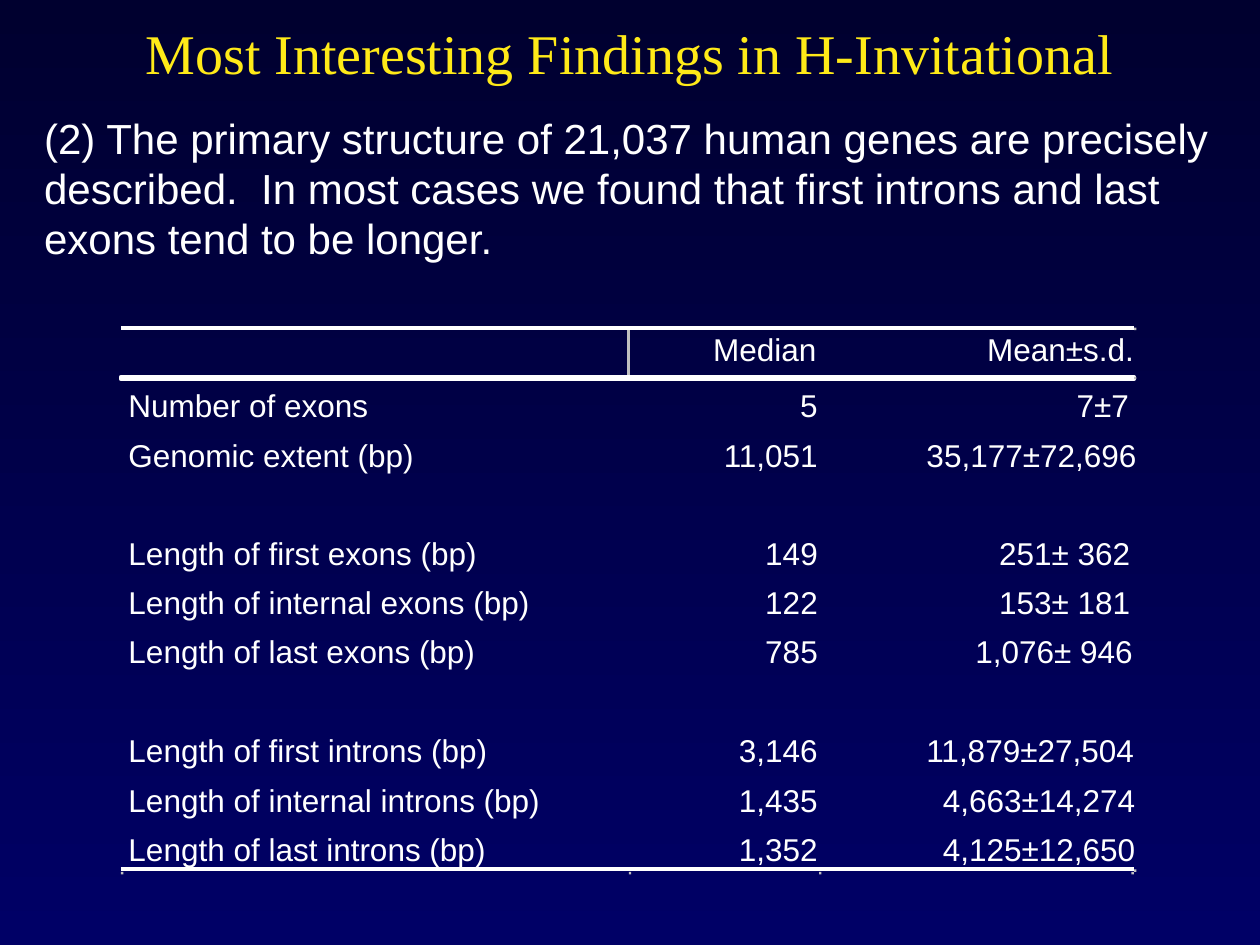
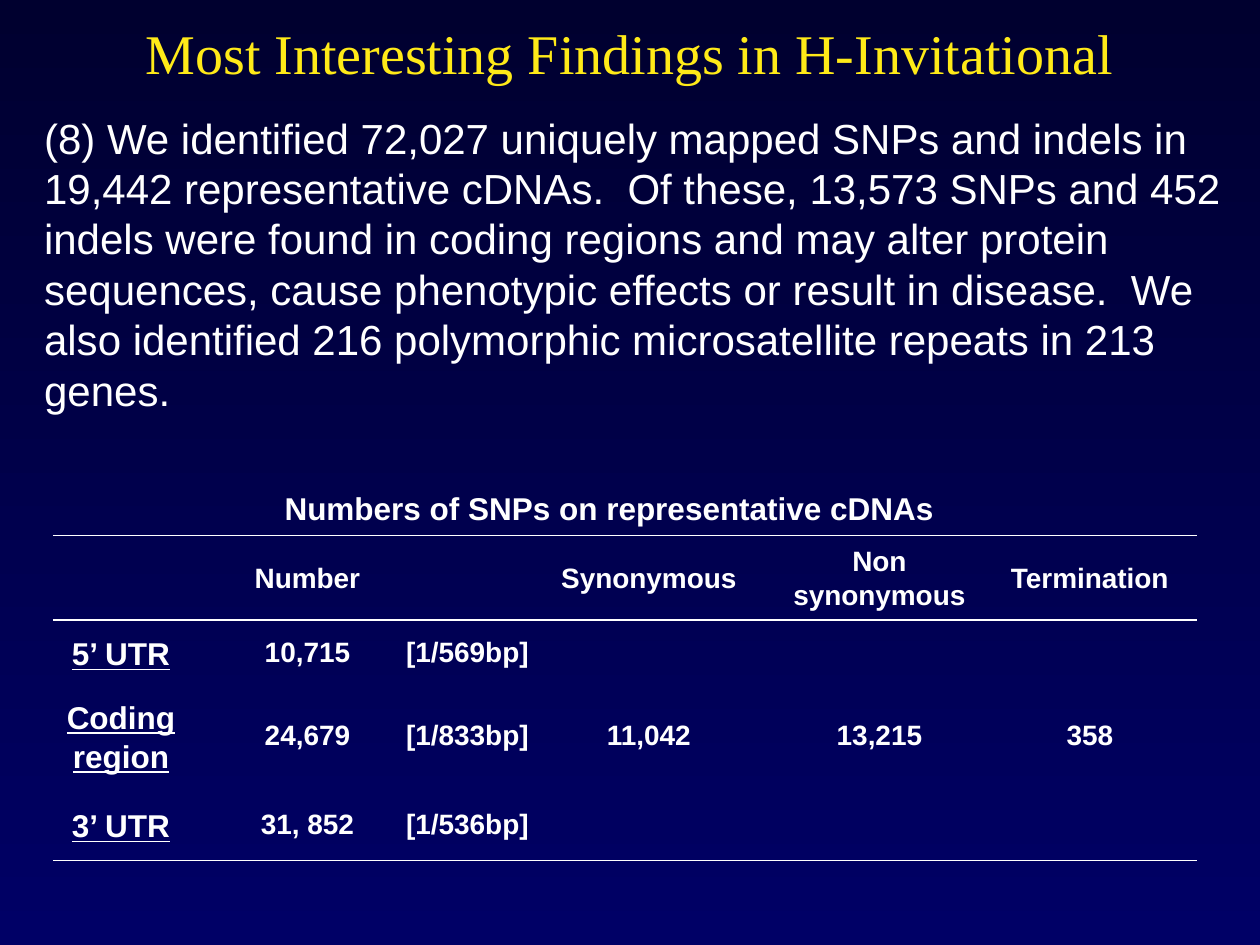
import pptx
import pptx.dml.color
import pptx.enum.shapes
import pptx.enum.text
import pptx.oxml
import pptx.oxml.ns
import pptx.util

PX = 9144  # EMU in one px, at 100 px to the inch
WHITE, YELLOW, GREY, BLACK = "FFFFFF", "FFEA18", "C0C0C0", "000000"
NIGHT, NAVY = "00002F", "000066"
TITLE = "Most Interesting Findings in H-Invitational"
ALIGN = pptx.enum.text.PP_ALIGN
ANCHOR = pptx.enum.text.MSO_ANCHOR

STRUCTURE_TEXT = (
    "(2) The primary structure of 21,037 human genes are precisely described.  "
    "In most cases we found that first introns and last exons tend to be longer."
)
# Label, median, mean and the right inset of the mean in px
STRUCTURE_ROWS = [
    ("", "Median", "Mean±s.d.", 2),
    ("Number of exons", "5", "7±7", 6),
    ("Genomic extent (bp)", "11,051", "35,177±72,696", 0),
    ("", "", "", 0),
    ("Length of first exons (bp)", "149", "251± 362", 5),
    ("Length of internal exons (bp)", "122", "153± 181", 5),
    ("Length of last exons (bp)", "785", "1,076± 946", 3),
    ("", "", "", 0),
    ("Length of first introns (bp)", "3,146", "11,879±27,504", 2),
    ("Length of internal introns (bp)", "1,435", "4,663±14,274", 1),
    ("Length of last introns (bp)", "1,352", "4,125±12,650", 1),
]
SNP_TEXT = (
    "(8) We identified 72,027 uniquely mapped SNPs and indels in 19,442 "
    "representative cDNAs.  Of these, 13,573 SNPs and 452 indels were found in "
    "coding regions and may alter protein sequences, cause phenotypic effects or "
    "result in disease.  We also identified 216 polymorphic microsatellite "
    "repeats in 213 genes."
)
SNP_ROWS = [
    ("", "Number", "", "Synonymous", "Non\nsynonymous", "Termination"),
    ("5’ UTR", "10,715", "[1/569bp]", "", "", ""),
    ("Coding region", "24,679", "[1/833bp]", "11,042", "13,215", "358"),
    ("3’ UTR", "31, 852", "[1/536bp]", "", "", ""),
]


def px(length):
    return pptx.util.Emu(length * PX)


def rgb(color):
    return pptx.dml.color.RGBColor.from_string(color)


def write(frame, text, size=18, font="Arial", color=WHITE, bold=False,
          underline=False, align=ALIGN.LEFT, line_spacing=None):
    """Fill a text frame, one paragraph for each line of text."""
    frame.text = text
    for para in frame.paragraphs:
        para.alignment = align
        para.line_spacing = line_spacing
        para.space_before = pptx.util.Pt(0)
        for span in para.runs:
            span.font.name = font
            span.font.size = pptx.util.Pt(size)
            span.font.color.rgb = rgb(color)
            span.font.bold = bold
            span.font.underline = underline


def remove_bullet(para):
    properties = para._p.get_or_add_pPr()
    properties.set("marL", "0")
    properties.set("indent", "0")
    properties.append(pptx.oxml.parse_xml(
        f"<a:buNone {pptx.oxml.ns.nsdecls('a')}/>"))


def place(shape, left, top, width, height, anchor):
    shape.left, shape.top = px(left), px(top)
    shape.width, shape.height = px(width), px(height)
    shape.text_frame.auto_size = pptx.enum.text.MSO_AUTO_SIZE.NONE
    shape.text_frame.vertical_anchor = anchor


def paint_background(master):
    fill = master.background.fill
    fill.gradient()
    fill.gradient_angle = 270
    for stop, color in zip(fill.gradient_stops, (NIGHT, NAVY)):
        stop.color.rgb = rgb(color)


def add_finding(deck, text, text_height):
    """Add a slide with the shared title and one unbulleted body paragraph."""
    page = deck.slides.add_slide(deck.slide_layouts[1])
    title, body = page.shapes.title, page.placeholders[1]
    place(title, 50, 16, 900, 50, ANCHOR.MIDDLE)
    write(title.text_frame, TITLE, size=32, font="Times New Roman",
          color=YELLOW, align=ALIGN.CENTER)
    place(body, 25, 84, 958, text_height, ANCHOR.TOP)
    write(body.text_frame, text, size=24)
    remove_bullet(body.text_frame.paragraphs[0])
    return page


def add_caption(page, text, left, top, width, height):
    box = page.shapes.add_textbox(px(left), px(top), px(width), px(height))
    box.text_frame.word_wrap = False
    box.text_frame.vertical_anchor = ANCHOR.MIDDLE
    write(box.text_frame, text, bold=True)


def add_line(page, start, end, points, color=WHITE):
    line = page.shapes.add_connector(
        pptx.enum.shapes.MSO_CONNECTOR.STRAIGHT,
        px(start[0]), px(start[1]), px(end[0]), px(end[1]))
    line.line.width = pptx.util.Pt(points)
    line.line.color.rgb = rgb(color)
    line._element.spPr.append(pptx.oxml.parse_xml(
        f"<a:effectLst {pptx.oxml.ns.nsdecls('a')}/>"))


def add_bar(page, left, top, width, height, fill, outline=None):
    bar = page.shapes.add_shape(
        pptx.enum.shapes.MSO_SHAPE.RECTANGLE,
        px(left), px(top), px(width), px(height))
    bar.shadow.inherit = False
    bar.fill.solid()
    bar.fill.fore_color.rgb = rgb(fill)
    if outline:
        bar.line.width = pptx.util.Pt(2.25)
        bar.line.color.rgb = rgb(outline)
    else:
        bar.line.fill.background()


def add_grid(page, left, top, columns, heights):
    """Add a plain table without fills, borders or style bands."""
    frame = page.shapes.add_table(len(heights), len(columns), px(left), px(top),
                                  px(sum(columns)), px(sum(heights)))
    table = frame.table
    table.first_row = table.horz_banding = False
    for column, width in zip(table.columns, columns):
        column.width = px(width)
    for row, height in zip(table.rows, heights):
        row.height = px(height)
    for cell in table.iter_cells():
        cell.fill.background()
        clear_borders(cell)
    return table


def clear_borders(cell):
    properties = cell._tc.get_or_add_tcPr()
    for index, side in enumerate("LRTB"):
        properties.insert(index, pptx.oxml.parse_xml(
            f'<a:ln{side} {pptx.oxml.ns.nsdecls("a")} w="0">'
            f"<a:noFill/></a:ln{side}>"))


def set_margins(cell, left=0, right=0, top=0, bottom=0):
    cell.margin_left, cell.margin_right = px(left), px(right)
    cell.margin_top, cell.margin_bottom = px(top), px(bottom)


def add_structure_table(page):
    heights = [40] + [39] * 6 + [40] + [39] * 3
    table = add_grid(page, 96, 260, [403, 151, 252], heights)
    for row, (*values, mean_inset) in enumerate(STRUCTURE_ROWS):
        insets = [0, 1 if row else 2, mean_inset]
        for column, value in enumerate(values):
            cell = table.cell(row, column)
            set_margins(cell, left=0 if column else 6, right=insets[column],
                        top=2 if row else 4, bottom=2)
            cell.vertical_anchor = ANCHOR.BOTTOM if row else ANCHOR.TOP
            write(cell.text_frame, value,
                  align=ALIGN.RIGHT if column else ALIGN.LEFT)


def add_structure_rules(page):
    for y in (260, 690):
        add_line(page, (96, y), (900, y), 2.25)
    add_line(page, (499, 262), (499, 299), 0, GREY)
    add_bar(page, 96, 299, 804, 2, BLACK, outline=WHITE)
    bottom_ticks = [(x, 692) for x in (96, 499, 650, 898)]
    right_ticks = [(900, y) for y in (260, 299, 690)]
    for x, y in bottom_ticks + right_ticks:
        add_bar(page, x, y, 2, 2, GREY)


def add_snp_table(page):
    table = add_grid(page, 42, 425, [128, 148, 106, 182, 184, 160],
                     [67, 50, 82, 59])
    right_margins = [20, 0, 0, 0, 0, 10]
    for row, values in enumerate(SNP_ROWS):
        for column, value in enumerate(values):
            cell = table.cell(row, column)
            is_label = column == 0
            set_margins(cell, right=right_margins[column],
                        top=3 if is_label else 0)
            cell.vertical_anchor = ANCHOR.MIDDLE
            write(cell.text_frame, value, size=18 if is_label else 16, bold=True,
                  underline=is_label, align=ALIGN.CENTER, line_spacing=1.1)
    for y in (425, 492, 683):
        add_line(page, (42, y), (950, y), 0.75)


def main():
    deck = pptx.Presentation()
    deck.slide_width, deck.slide_height = px(1000), px(750)
    paint_background(deck.slide_master)
    structure_page = add_finding(deck, STRUCTURE_TEXT, 130)
    add_structure_table(structure_page)
    add_structure_rules(structure_page)
    snp_page = add_finding(deck, SNP_TEXT, 250)
    add_caption(snp_page, "Numbers of SNPs on representative cDNAs",
                216, 383, 542, 40)
    add_snp_table(snp_page)
    deck.save("out.pptx")


if __name__ == "__main__":
    main()
